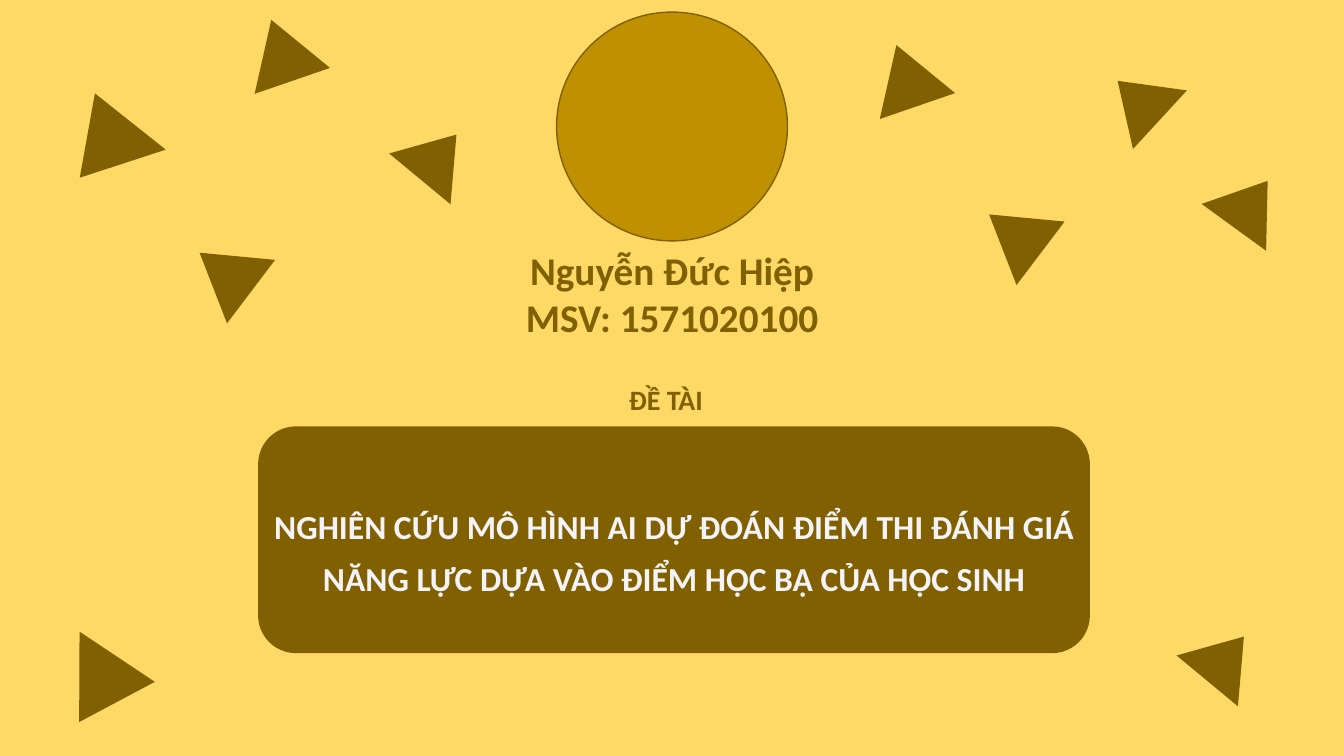
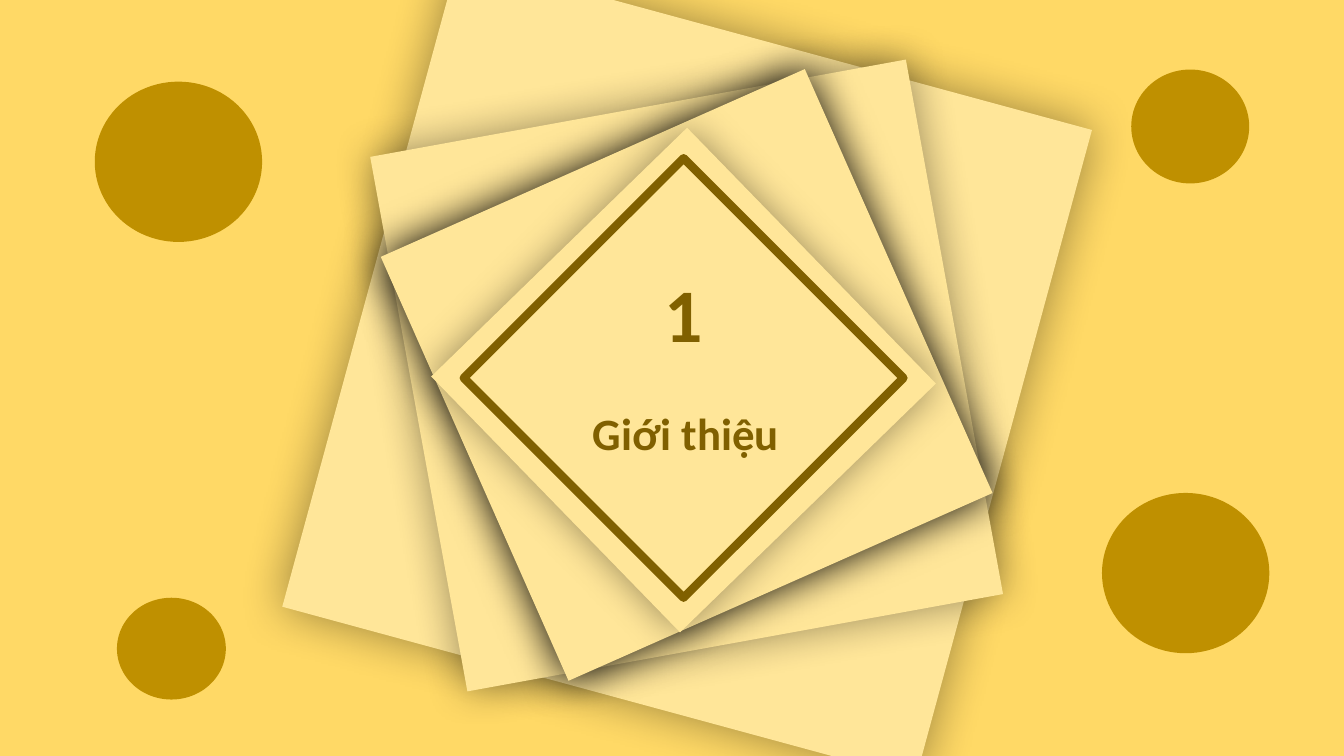
from lxml import etree
from pptx import Presentation, util as u
from pptx.dml.color import RGBColor
from pptx.enum import shapes as s, text as t
from pptx.oxml.ns import qn

# Shared style
PX = 9144  # EMU per px, 100 px to the inch
FONT = "Calibri"
BACKGROUND = RGBColor(0xFF, 0xD9, 0x66)
DARK = RGBColor(0x80, 0x60, 0x00)
GOLD = RGBColor(0xBF, 0x90, 0x00)
PALE = RGBColor(0xFF, 0xE6, 0x99)
LIGHT = RGBColor(0xF4, 0xF3, 0xF7)
KIND = s.MSO_SHAPE

# Cover content
AUTHOR = ["Nguyễn Đức Hiệp", "MSV: 1571020100"]
TOPIC_LABEL = "ĐỀ TÀI"
TOPIC = ("NGHIÊN CỨU MÔ HÌNH AI DỰ ĐOÁN ĐIỂM THI ĐÁNH GIÁ "
         "NĂNG LỰC DỰA VÀO ĐIỂM HỌC BẠ CỦA HỌC SINH")
PORTRAIT = (552, 12, 229, 227)
TOPIC_PANEL = (256, 423, 825, 225)
# Triangles by size: left, top, rotation
TRIANGLES = {
    (85, 79): [(83, 102, 100.2), (55, 622, 332)],
    (79, 57): [(1090, 71, 312.6), (1176, 625, 39.6),
               (395, 127, 39.6), (1201, 174, 36)],
    (79, 64): [(967, 200, 307.1), (184, 238, 307.1),
               (860, 43, 341), (240, 18, 341)],
}

# Section content
SECTION_NUMBER = "1"
SECTION_TITLE = "Giới thiệu"
# Stacked sheets: box, rotation, shadow opacity %, shadow blur in points
SHEETS = [
    ((356, 32, 651, 667), 15.2, 40, 34),
    ((411, 103, 540, 539), 349.7, 40, 30),
    ((451, 142, 460, 460), 66.1, 100, 30),
    ((501, 200, 354, 354), 315.8, 40, 28),
]
FRAME = (460, 157, 436, 436)
DISCS = [(94, 81, 166, 159), (1093, 489, 166, 159),
         (1122, 69, 117, 113), (116, 593, 108, 101)]


def emu(box):
    return [value * PX for value in box]


def add_slide(prs):
    slide = prs.slides.add_slide(prs.slide_layouts[6])
    slide.background.fill.solid()
    slide.background.fill.fore_color.rgb = BACKGROUND
    return slide


def add_figure(slide, kind, box, fill=None, rotation=0, line=None, line_width=1):
    figure = slide.shapes.add_shape(kind, *emu(box))
    figure.rotation = rotation
    figure.shadow.inherit = False
    if fill is None:
        figure.fill.background()
    else:
        figure.fill.solid()
        figure.fill.fore_color.rgb = fill
    if line is None:
        figure.line.fill.background()
    else:
        figure.line.color.rgb = line
        figure.line.width = u.Pt(line_width)
    return figure


def add_glow_shadow(figure, opacity, blur):
    effects = figure._element.spPr.find(qn("a:effectLst"))
    shadow = etree.SubElement(effects, qn("a:outerShdw"), blurRad=str(u.Pt(blur)),
                              dist="0", dir="0", algn="ctr", rotWithShape="0")
    color = etree.SubElement(shadow, qn("a:srgbClr"), val="000000")
    etree.SubElement(color, qn("a:alpha"), val=str(opacity * 1000))


def add_text(slide, box, lines, size, color=DARK, align=t.PP_ALIGN.CENTER,
             spacing=None, before=None, after=None):
    frame = slide.shapes.add_textbox(*emu(box)).text_frame
    frame.word_wrap = True
    frame.text = "\n".join(lines)
    for paragraph in frame.paragraphs:
        paragraph.alignment = align
        paragraph.line_spacing = spacing
        paragraph.space_before = before
        paragraph.space_after = after
        for run in paragraph.runs:
            run.font.name = FONT
            run.font.size = u.Pt(size)
            run.font.bold = True
            run.font.color.rgb = color


def build_cover(prs):
    slide = add_slide(prs)
    # Topic panel
    add_figure(slide, KIND.ROUNDED_RECTANGLE, TOPIC_PANEL, DARK)
    add_text(slide, (256, 485, 825, 111), [TOPIC], 24, LIGHT,
             spacing=1.3, after=u.Pt(8))
    add_text(slide, (482, 375, 357, 44), [TOPIC_LABEL], 20)
    # Author
    add_figure(slide, KIND.OVAL, PORTRAIT, GOLD, line=DARK)
    add_text(slide, (448, 239, 437, 104), AUTHOR, 28)
    # Scattered triangles
    for size, places in TRIANGLES.items():
        for left, top, rotation in places:
            add_figure(slide, KIND.ISOSCELES_TRIANGLE, (left, top, *size),
                       DARK, rotation)


def build_section(prs):
    slide = add_slide(prs)
    # Stacked sheets and frame
    for box, rotation, opacity, blur in SHEETS:
        sheet = add_figure(slide, KIND.RECTANGLE, box, PALE, rotation)
        add_glow_shadow(sheet, opacity, blur)
    add_figure(slide, KIND.DIAMOND, FRAME, rotation=90, line=DARK, line_width=6)
    # Section heading
    add_text(slide, (533, 387, 295, 70), [SECTION_TITLE], 32,
             spacing=1.2, before=u.Pt(6), after=u.Pt(6))
    add_text(slide, (649, 260, 64, 101), [SECTION_NUMBER], 54,
             align=t.PP_ALIGN.LEFT)
    # Corner discs
    for box in DISCS:
        add_figure(slide, KIND.OVAL, box, GOLD)


def main():
    prs = Presentation()
    prs.slide_width, prs.slide_height = emu((1333, 750))
    build_cover(prs)
    build_section(prs)
    prs.save("out.pptx")


if __name__ == "__main__":
    main()
